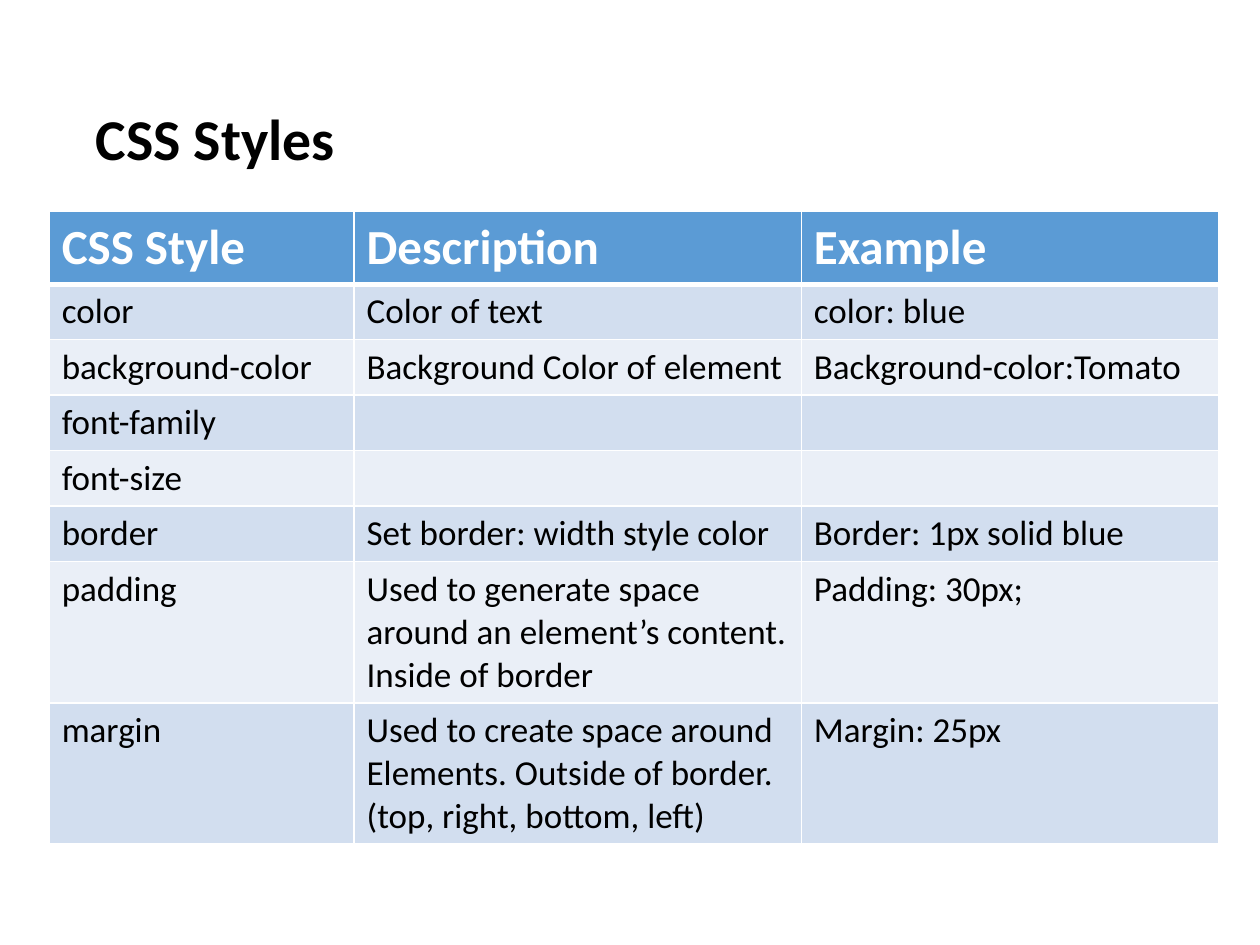
"""Build the CSS styles slide: a title above a reference table."""
from dataclasses import dataclass

from lxml.etree import SubElement as Sub
from pptx import Presentation
from pptx.dml.color import RGBColor as Rgb
from pptx.enum.text import MSO_ANCHOR as Anchor, PP_ALIGN as Align
from pptx.oxml.ns import qn
from pptx.util import Inches, Pt


@dataclass(frozen=True)
class Theme:
    """Colours, font and type sizes."""
    font: str = "Calibri"
    ink: str = "000000"
    paper: str = "FFFFFF"
    head: str = "5B9BD5"
    bands: tuple = ("D2DEEF", "EAEFF7")
    title: int = 33
    label: int = 28
    body: int = 20
    thin: int = 1
    thick: int = 3


@dataclass(frozen=True)
class Style:
    """One table row: a style, its description and an example."""
    name: str
    about: str = ""
    sample: str = ""
    high: float = 0.44


THEME = Theme()
COLS = (2.42, 3.55, 3.31)
ROWS = (
    Style("CSS Style", "Description", "Example", 0.57),
    Style("color", "Color of text", "color: blue"),
    Style("background-color", "Background Color of element",
          "Background-color:Tomato"),
    Style("font-family"),
    Style("font-size"),
    Style("border", "Set border: width style color",
          "Border: 1px solid blue"),
    Style("padding", "Used to generate space around an element’s content. "
          "Inside of border", "Padding: 30px;", 1.12),
    Style("margin", "Used to create space around\n"
          "Elements. Outside of border.\n(top, right, bottom, left)",
          "Margin: 25px", 1.12),
)


def write(frame, text: str, size: int, color: str, bold: bool) -> None:
    """Set the text of a frame and format its runs."""
    frame.text = text
    for para in frame.paragraphs:
        for run in para.runs:
            font = run.font
            font.name, font.size, font.bold = THEME.font, Pt(size), bold
            font.color.rgb = Rgb.from_string(color)


def edge(cell, side: str, width: int) -> None:
    """Draw one border of a cell."""
    line = Sub(cell._tc.get_or_add_tcPr(), qn(f"a:ln{side}"), w=str(Pt(width)))
    fill = Sub(line, qn("a:solidFill"))
    Sub(fill, qn("a:srgbClr"), val=THEME.paper)


def paint(cell, text: str, row: int) -> None:
    """Fill, border and write a cell by its row number."""
    head = row == 0
    top = THEME.thick if row == 1 else THEME.thin
    base = THEME.thick if head else THEME.thin
    for side, width in zip("LRTB", (THEME.thin, THEME.thin, top, base)):
        edge(cell, side, width)
    cell.fill.solid()
    tone = THEME.head if head else THEME.bands[(row - 1) % 2]
    cell.fill.fore_color.rgb = Rgb.from_string(tone)
    write(cell.text_frame, text, THEME.label if head else THEME.body,
          THEME.paper if head else THEME.ink, head)


def add_title(slide, text: str) -> None:
    """Place and format the title."""
    title = slide.shapes.title
    title.left, title.top = Inches(0.69), Inches(0.4)
    title.width, title.height = Inches(8.62), Inches(1.45)
    frame = title.text_frame
    write(frame, text, THEME.title, THEME.ink, True)
    frame.vertical_anchor = Anchor.MIDDLE
    frame.margin_left = frame.margin_right = Inches(0.07)
    frame.margin_top = frame.margin_bottom = Inches(0.04)
    frame.paragraphs[0].alignment = Align.LEFT
    frame.paragraphs[0].line_spacing = 0.9


def add_grid(slide) -> None:
    """Draw the table of styles."""
    high = sum(style.high for style in ROWS)
    table = slide.shapes.add_table(
        len(ROWS), len(COLS), Inches(0.39), Inches(1.68),
        Inches(sum(COLS)), Inches(high)).table
    for col, width in zip(table.columns, COLS):
        col.width = Inches(width)
    for num, style in enumerate(ROWS):
        table.rows[num].height = Inches(style.high)
        texts = (style.name, style.about, style.sample)
        for cell, text in zip(table.rows[num].cells, texts):
            paint(cell, text, num)


def main() -> None:
    """Build and save the deck."""
    deck = Presentation()
    deck.slide_width, deck.slide_height = Inches(10), Inches(7.5)
    slide = deck.slides.add_slide(deck.slide_layouts[5])
    add_title(slide, "CSS Styles")
    add_grid(slide)
    deck.save("out.pptx")


main()
